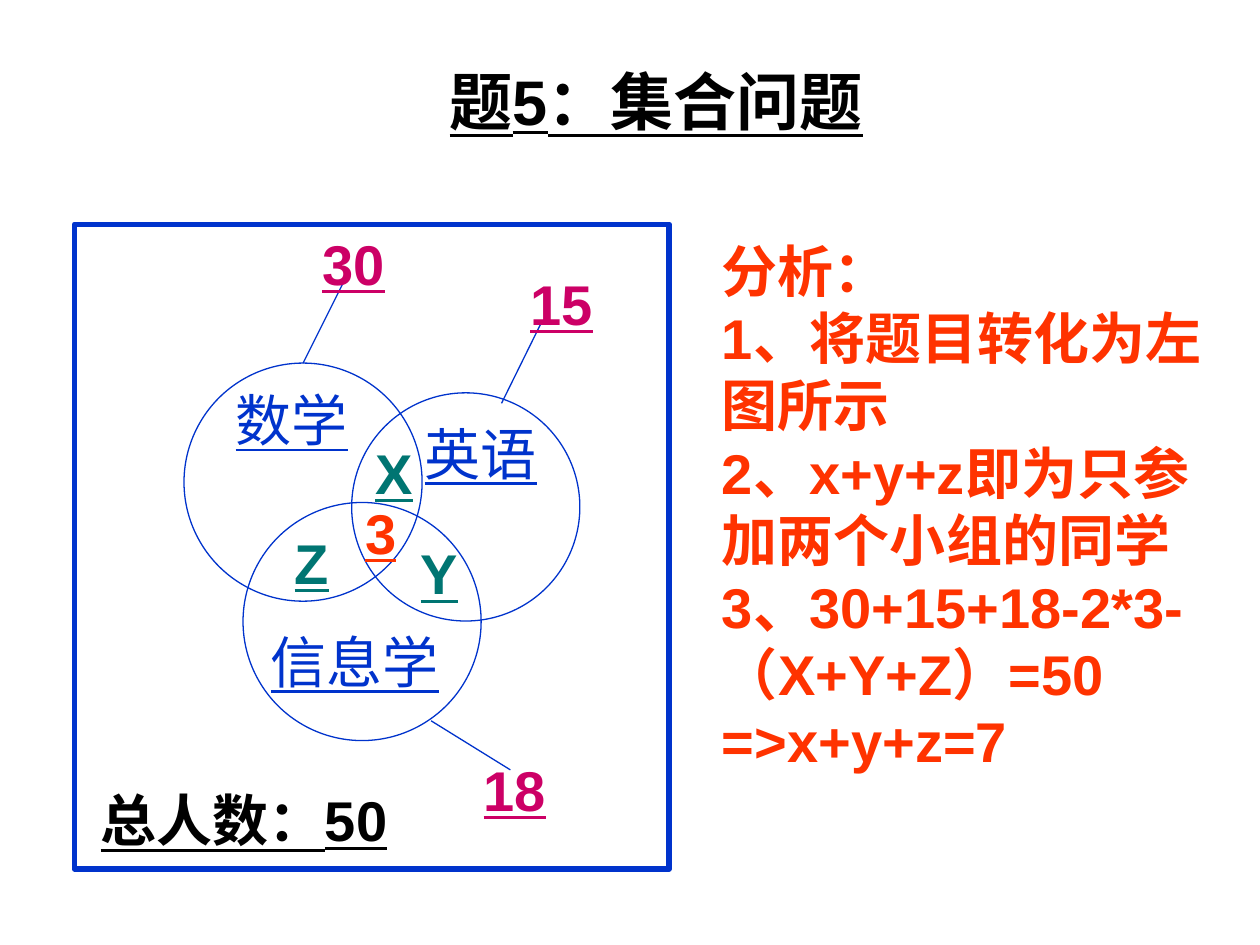
"""Build a slide that solves a set problem with a three-circle Venn diagram."""
from lxml.etree import SubElement
from pptx import Presentation
from pptx.dml.color import RGBColor
from pptx.enum.shapes import MSO_CONNECTOR, MSO_SHAPE
from pptx.enum.text import MSO_ANCHOR, MSO_AUTO_SIZE, PP_ALIGN
from pptx.oxml.ns import qn
from pptx.util import Cm, Pt

COLORS = {"blue": "0033CC", "teal": "007572", "pink": "CC0066",
          "orange": "FF3300", "black": "000000"}
LABEL_HEIGHT = 1.63
CIRCLES = [(3.71, 7.32, 4.8), (7.09, 7.92, 4.6), (4.9, 10.13, 4.8)]
LEADERS = [((6.1, 7.32), (6.91, 5.72)), ((10.11, 8.13), (10.9, 6.53)),
           ((8.69, 14.53), (10.29, 15.52))]
LABELS = [
    ("3", 7.11, 9.93, 1.14, "orange", True),
    ("X", 7.32, 8.71, 1.24, "teal", True),
    ("Y", 8.23, 10.74, 1.24, "teal", True),
    ("Z", 5.69, 10.52, 1.19, "teal", True),
    ("数学", 4.5, 7.65, 2.77, "blue", False),
    ("英语", 8.31, 8.33, 2.77, "blue", False),
    ("信息学", 5.21, 12.52, 3.89, "blue", False),
    ("30", 6.25, 4.5, 1.75, "pink", True),
    ("15", 10.44, 5.31, 1.75, "pink", True),
    ("18", 9.5, 15.11, 1.75, "pink", True),
    ("总人数：50", 1.78, 15.72, 6.55, "black", True),
]
ANALYSIS = ["分析：", "1、将题目转化为左图所示", "2、x+y+z即为只参加两个小组的同学",
            "3、30+15+18-2*3-（X+Y+Z）=50", "=>x+y+z=7"]


def write_text(frame, lines, color, size=32, bold=True, underline=True, wrap=False):
    frame.word_wrap = wrap
    frame.auto_size = MSO_AUTO_SIZE.NONE
    frame.vertical_anchor = MSO_ANCHOR.TOP
    frame.text = "\n".join(lines)
    for paragraph in frame.paragraphs:
        properties = paragraph._p.get_or_add_pPr()
        properties.set("marL", "0")
        properties.set("indent", "0")
        SubElement(properties, qn("a:buNone"))
        paragraph.alignment = PP_ALIGN.LEFT
        paragraph.space_before = Pt(0)
        for span in paragraph.runs:
            font = span.font
            font.name, font.size = "Arial", Pt(size)
            font.bold, font.underline = bold, underline
            font.color.rgb = RGBColor.from_string(COLORS[color])


class SlideBuilder:
    def __init__(self, page, line_color="blue"):
        self.page = page
        self.line_color = RGBColor.from_string(COLORS[line_color])

    def placeholder(self, index, lines, left, top, width, height, **style):
        box = self.page.placeholders[index]
        box.left, box.top = Cm(left), Cm(top)
        box.width, box.height = Cm(width), Cm(height)
        write_text(box.text_frame, lines, **style)

    def outline(self, kind, left, top, width, height, weight=0.75):
        shape = self.page.shapes.add_shape(kind, Cm(left), Cm(top), Cm(width), Cm(height))
        shape.shadow.inherit = False
        shape.fill.background()
        shape.line.color.rgb = self.line_color
        shape.line.width = Pt(weight)
        return shape

    def label(self, text, left, top, width, color, bold):
        box = self.page.shapes.add_textbox(Cm(left), Cm(top), Cm(width), Cm(LABEL_HEIGHT))
        write_text(box.text_frame, [text], color, bold=bold)

    def leader(self, start, end):
        line = self.page.shapes.add_connector(
            MSO_CONNECTOR.STRAIGHT, *(Cm(value) for value in start + end))
        line.line.color.rgb = self.line_color
        line.line.width = Pt(0.75)
        SubElement(line._element.spPr, qn("a:effectLst"))
        return line


def main():
    deck = Presentation()
    deck.slide_width, deck.slide_height = Cm(25.4), Cm(19.05)
    builder = SlideBuilder(deck.slides.add_slide(deck.slide_layouts[1]))
    builder.placeholder(0, ["题5：集合问题"], 8.81, 1.14, 10, 1.78,
                        color="black", size=36, wrap=True)
    builder.placeholder(1, ANALYSIS, 14.3, 4.64, 10.59, 12.45,
                        color="orange", underline=False, wrap=True)
    builder.outline(MSO_SHAPE.RECTANGLE, 1.5, 4.52, 11.99, 13, weight=3)
    circles = [builder.outline(MSO_SHAPE.OVAL, left, top, size, size)
               for left, top, size in CIRCLES]
    leaders = [builder.leader(start, end) for start, end in LEADERS]
    leaders[0].begin_connect(circles[0], 0)
    for label in LABELS:
        builder.label(*label)
    deck.save("out.pptx")


if __name__ == "__main__":
    main()
